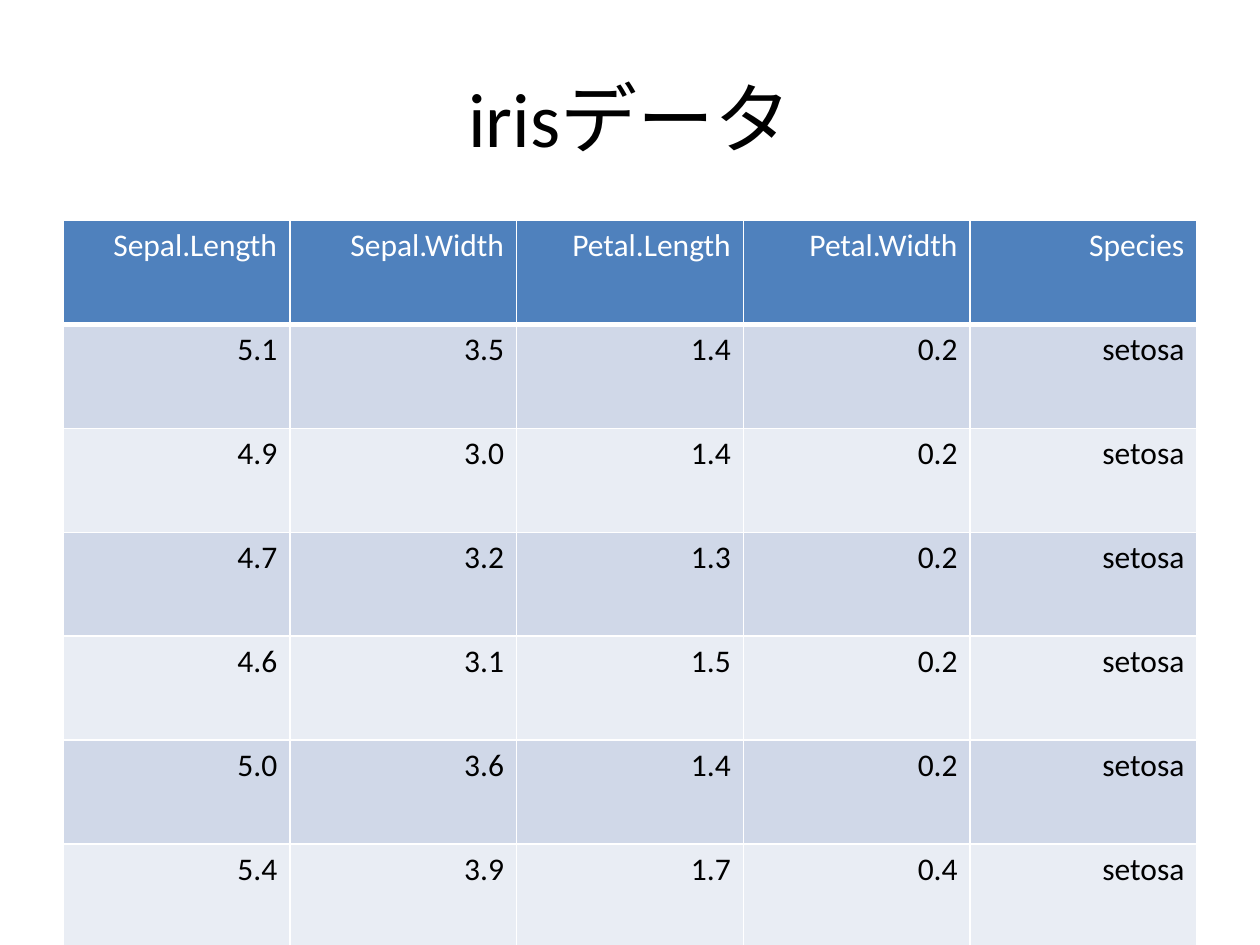
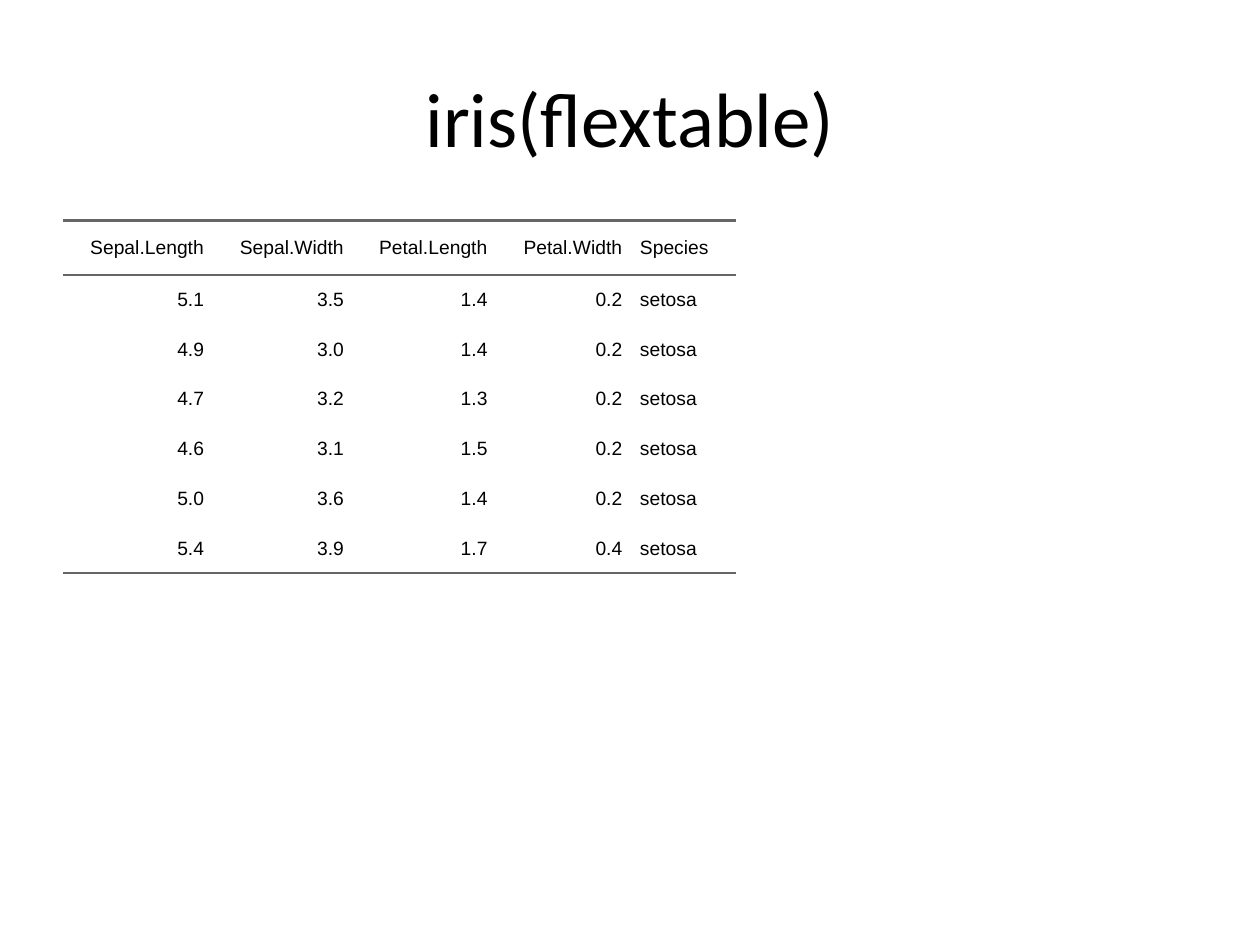
import lxml.etree
import pptx
import pptx.dml.color
import pptx.enum.text
import pptx.oxml.ns
import pptx.util

# Content
HEADER = ["Sepal.Length", "Sepal.Width", "Petal.Length", "Petal.Width", "Species"]
FLOWERS = [
    ["5.1", "3.5", "1.4", "0.2", "setosa"],
    ["4.9", "3.0", "1.4", "0.2", "setosa"],
    ["4.7", "3.2", "1.3", "0.2", "setosa"],
    ["4.6", "3.1", "1.5", "0.2", "setosa"],
    ["5.0", "3.6", "1.4", "0.2", "setosa"],
    ["5.4", "3.9", "1.7", "0.4", "setosa"],
]
ROWS = [HEADER] + FLOWERS
BANDED_TITLE = "irisデータ"
RULED_TITLE = "iris(flextable)"

# Theme
THEME = {
    "title_font": "Calibri", "title_size": 44,
    "banded_font": "Calibri", "banded_size": 18,
    "ruled_font": "Arial", "ruled_size": 11,
    "text": "000000", "header_text": "FFFFFF", "header_fill": "4F81BD",
    "bands": ["D0D8E8", "E9EDF4"], "grid": "FFFFFF", "rule": "666666",
}

# Layout, 200 px to the inch
SCALE = 914400 // 200
SLIDE_SIZE = (2000, 1500)
TITLE_BOX = (100, 60, 1800, 250)
TABLE_BOX = (100, 350, 1800, 990)
BANDED_COLUMNS = [TABLE_BOX[2] // len(HEADER)] * len(HEADER)
BANDED_HEIGHTS = [165] * len(ROWS)
RULED_COLUMNS = [238, 222, 228, 214, 166]
RULED_HEIGHTS = [86] + [79] * len(FLOWERS)
RULED_PADDING = 14

PLAIN_TABLE_STYLE = "{2D5ABB26-0587-4C30-8999-92F81FD0307C}"
ALIGN = pptx.enum.text.PP_ALIGN
ANCHOR = pptx.enum.text.MSO_ANCHOR


def px(length):
    return pptx.util.Emu(length * SCALE)


def rgb(code):
    return pptx.dml.color.RGBColor.from_string(code)


def style_text(para, font, size, color, align):
    para.alignment = align
    for span in para.runs:
        span.font.name = font
        span.font.size = pptx.util.Pt(size)
        span.font.color.rgb = rgb(color)


def set_borders(cell, color, widths):
    """Draw the sides named in widths (L, R, T, B), given in points."""
    properties = cell._tc.get_or_add_tcPr()
    sides = [side for side in "LRTB" if side in widths]
    for position, side in enumerate(sides):
        line = lxml.etree.Element(
            pptx.oxml.ns.qn("a:ln" + side), w=str(pptx.util.Pt(widths[side])))
        fill = lxml.etree.SubElement(line, pptx.oxml.ns.qn("a:solidFill"))
        lxml.etree.SubElement(fill, pptx.oxml.ns.qn("a:srgbClr"), val=color)
        properties.insert(position, line)


def add_titled_page(deck, title):
    page = deck.slides.add_slide(deck.slide_layouts[6])
    box = page.shapes.add_textbox(*map(px, TITLE_BOX))
    frame = box.text_frame
    frame.word_wrap = True
    frame.vertical_anchor = ANCHOR.MIDDLE
    frame.text = title
    style_text(frame.paragraphs[0], THEME["title_font"], THEME["title_size"],
               THEME["text"], ALIGN.CENTER)
    return page


def add_data_table(page, columns, heights, style_cell):
    frame = page.shapes.add_table(len(ROWS), len(HEADER), *map(px, TABLE_BOX))
    table = frame.table
    table.first_row = table.horz_banding = False
    style_id = table._tbl.tblPr.find(pptx.oxml.ns.qn("a:tableStyleId"))
    style_id.text = PLAIN_TABLE_STYLE
    for column, width in zip(table.columns, columns):
        column.width = px(width)
    for row, height in zip(table.rows, heights):
        row.height = px(height)
    frame.width, frame.height = map(px, TABLE_BOX[2:])
    for row_index, values in enumerate(ROWS):
        for column_index, value in enumerate(values):
            cell = table.cell(row_index, column_index)
            cell.text_frame.text = value
            style_cell(cell, row_index, column_index)


def style_banded_cell(cell, row_index, column_index):
    is_header = row_index == 0
    band = THEME["bands"][(row_index - 1) % 2]
    cell.fill.solid()
    cell.fill.fore_color.rgb = rgb(THEME["header_fill"] if is_header else band)
    style_text(cell.text_frame.paragraphs[0], THEME["banded_font"], THEME["banded_size"],
               THEME["header_text"] if is_header else THEME["text"], ALIGN.RIGHT)
    set_borders(cell, THEME["grid"], {"L": 1, "R": 1, "T": 1, "B": 3 if is_header else 1})


def style_ruled_cell(cell, row_index, column_index):
    cell.fill.background()
    cell.vertical_anchor = ANCHOR.MIDDLE
    cell.margin_left = cell.margin_right = 0
    cell.margin_top = cell.margin_bottom = px(RULED_PADDING)
    para = cell.text_frame.paragraphs[0]
    is_species = column_index == len(HEADER) - 1
    style_text(para, THEME["ruled_font"], THEME["ruled_size"], THEME["text"],
               ALIGN.LEFT if is_species else ALIGN.RIGHT)
    para.space_before = para.space_after = pptx.util.Pt(5)
    properties = para._p.get_or_add_pPr()
    for side in ("marL", "marR"):
        properties.set(side, str(px(RULED_PADDING)))
    properties.set("indent", "0")
    # Rules above and below the header, and under the last row
    if row_index == 0:
        set_borders(cell, THEME["rule"], {"T": 1.5, "B": 1.5})
    elif row_index == len(ROWS) - 1:
        set_borders(cell, THEME["rule"], {"B": 1.5})


def main():
    deck = pptx.Presentation()
    deck.slide_width, deck.slide_height = map(px, SLIDE_SIZE)

    # Banded table
    page = add_titled_page(deck, BANDED_TITLE)
    add_data_table(page, BANDED_COLUMNS, BANDED_HEIGHTS, style_banded_cell)

    # Ruled table
    page = add_titled_page(deck, RULED_TITLE)
    add_data_table(page, RULED_COLUMNS, RULED_HEIGHTS, style_ruled_cell)

    deck.save("out.pptx")


if __name__ == "__main__":
    main()
